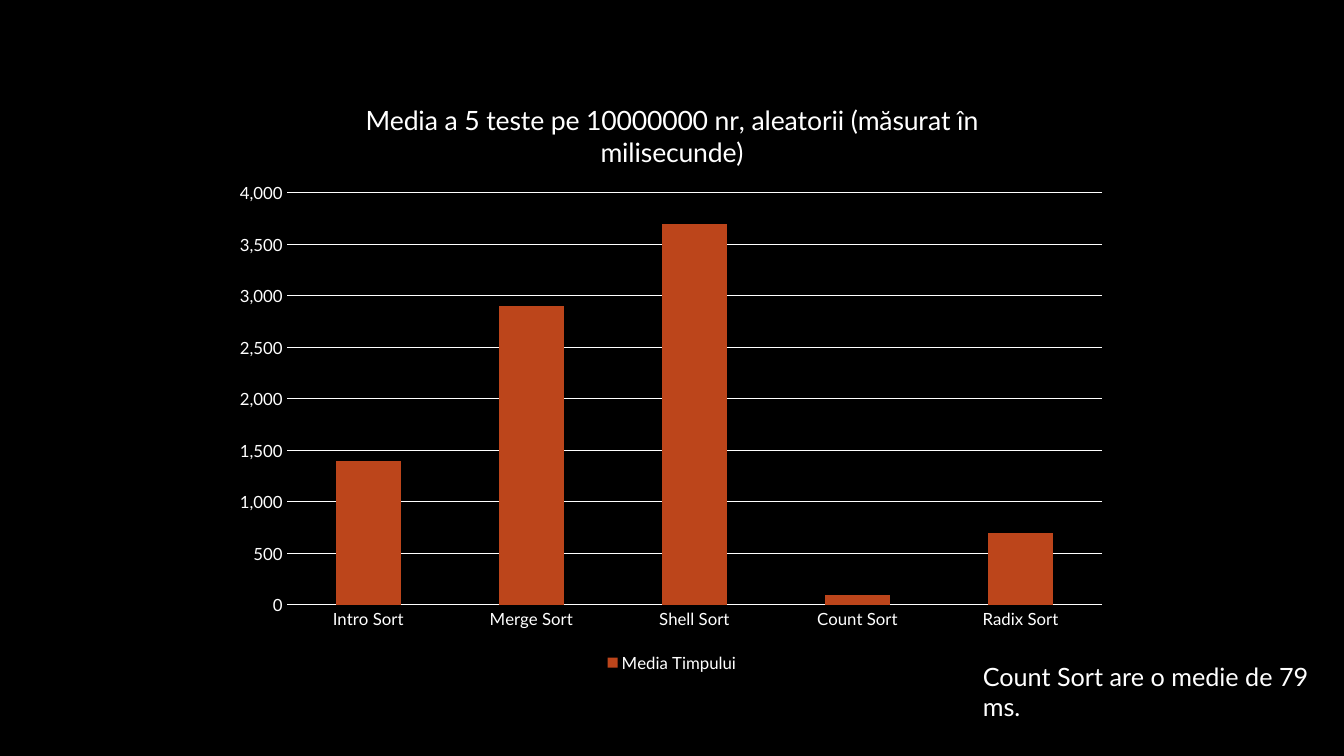
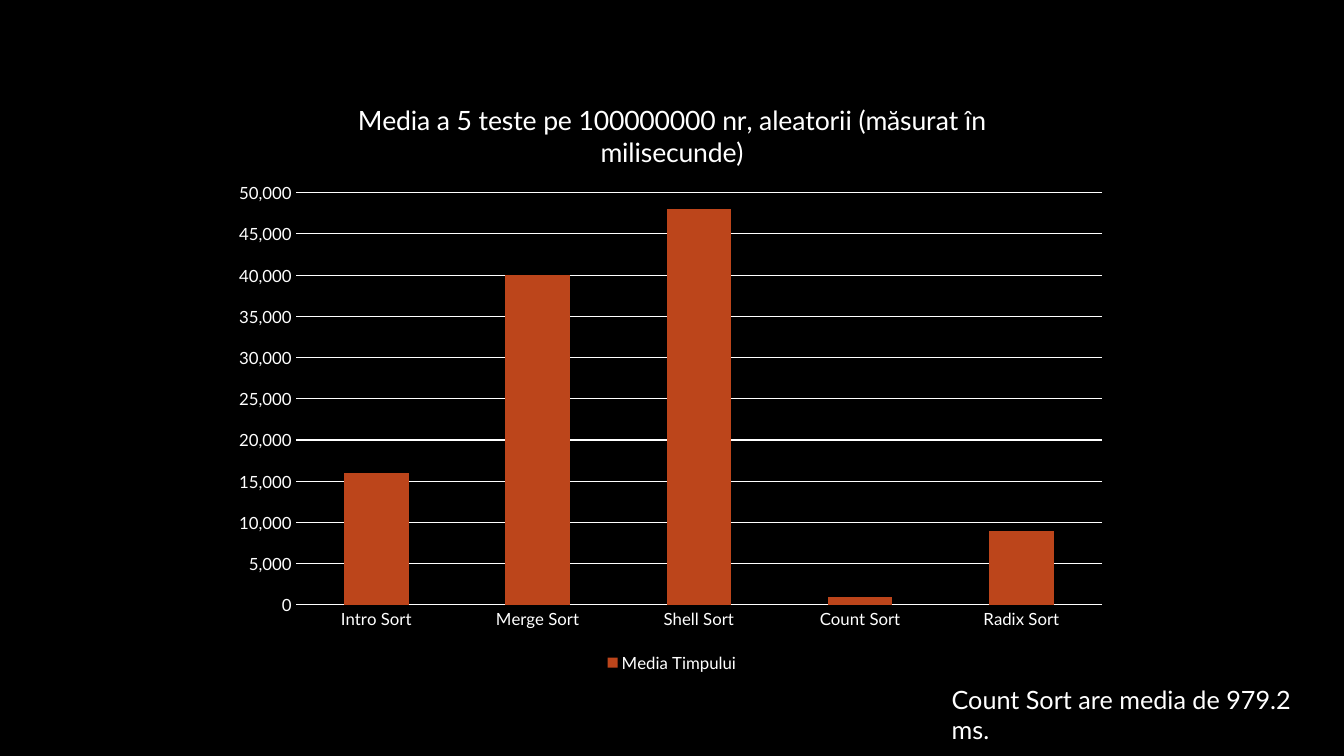
from lxml import etree
from pptx import Presentation
from pptx.chart.data import CategoryChartData
from pptx.dml.color import RGBColor
from pptx.enum.chart import XL_CHART_TYPE, XL_LEGEND_POSITION, XL_TICK_MARK
from pptx.util import Inches, Pt

COLUMN = XL_CHART_TYPE.COLUMN_CLUSTERED
BOTTOM = XL_LEGEND_POSITION.BOTTOM
NO_TICK = XL_TICK_MARK.NONE

# Shared look
FACE = "Lato"
BLACK, WHITE, RUST = "000000", "FFFFFF", "BC451B"
C_NS = "http://schemas.openxmlformats.org/drawingml/2006/chart"
SORTS = ["Intro Sort", "Merge Sort", "Shell Sort", "Count Sort", "Radix Sort"]

# Count of numbers, values, axis top and step, plot left (share of chart),
# note text, note left, top and width
TESTS = [
    ("10000000", [1400, 2900, 3700, 100, 700], 4000, 500, 0.07,
     "Count Sort are o medie de 79 ms.", 9.65, 6.51, 3.77),
    ("100000000", [16000, 40000, 48000, 1000, 9000], 50000, 5000, 0.08,
     "Count Sort are media de 979.2 ms.", 9.34, 6.74, 3.91),
]


def color(code):
    return RGBColor.from_string(code)


def style(font, size):
    font.name = FACE
    font.size = Pt(size)
    font.bold = False
    font.color.rgb = color(WHITE)


deck = Presentation()
deck.slide_width, deck.slide_height = Inches(13.33), Inches(7.5)
wide, high = deck.slide_width, deck.slide_height
back = deck.slide_master.background.fill
back.solid()
back.fore_color.rgb = color(BLACK)
blank = deck.slide_layouts[6]

for count, times, top, step, left, words, note_x, note_y, note_w in TESTS:
    slide = deck.slides.add_slide(blank)

    # Chart, two thirds of the slide wide and centred
    data = CategoryChartData(number_format="#,##0")
    data.categories = SORTS
    data.add_series("Media Timpului", times)
    chart_w, chart_h = int(wide * 2 / 3), int(high * 0.79)
    chart = slide.shapes.add_chart(
        COLUMN, (wide - chart_w) // 2, (high - chart_h) // 2,
        chart_w, chart_h, data).chart
    style(chart.font, 10)

    # Chart title
    chart.has_title = True
    title = chart.chart_title
    title.include_in_layout = False
    title.text_frame.text = (
        f"Media a 5 teste pe {count} nr, aleatorii (măsurat în milisecunde)")
    style(title.text_frame.paragraphs[0].runs[0].font, 19)

    # Legend
    chart.has_legend = True
    chart.legend.position = BOTTOM
    chart.legend.include_in_layout = False
    style(chart.legend.font, 12)

    # Bars
    plot = chart.plots[0]
    plot.gap_width = 150
    plot.vary_by_categories = False
    bars = plot.series[0].format.fill
    bars.solid()
    bars.fore_color.rgb = color(RUST)

    # Axes
    for axis in (chart.category_axis, chart.value_axis):
        axis.major_tick_mark = axis.minor_tick_mark = NO_TICK
        axis.format.line.fill.background()
        style(axis.tick_labels.font, 12)
    scale = chart.value_axis
    scale.minimum_scale, scale.maximum_scale = 0, top
    scale.major_unit = step
    scale.tick_labels.number_format = "#,##0"
    scale.tick_labels.number_format_is_linked = False
    scale.has_major_gridlines = True
    grid = scale.major_gridlines.format.line
    grid.width = Pt(0.75)
    grid.color.rgb = color(WHITE)

    # Plot area, as shares of the chart
    area = chart.plots[0]._element.getparent()
    for old in area.findall(f"{{{C_NS}}}layout"):
        area.remove(old)
    layout = etree.Element(f"{{{C_NS}}}layout")
    manual = etree.SubElement(layout, f"{{{C_NS}}}manualLayout")
    for tag, val in (("layoutTarget", "inner"), ("xMode", "edge"),
                     ("yMode", "edge"), ("x", left), ("y", 0.19),
                     ("w", round(0.98 - left, 2)), ("h", 0.69)):
        etree.SubElement(manual, f"{{{C_NS}}}{tag}").set("val", str(val))
    area.insert(0, layout)

    # Note
    note = slide.shapes.add_textbox(
        Inches(note_x), Inches(note_y), Inches(note_w), Inches(0.4)).text_frame
    note.word_wrap = True
    note.text = words
    style(note.paragraphs[0].runs[0].font, 18)

deck.save("out.pptx")
